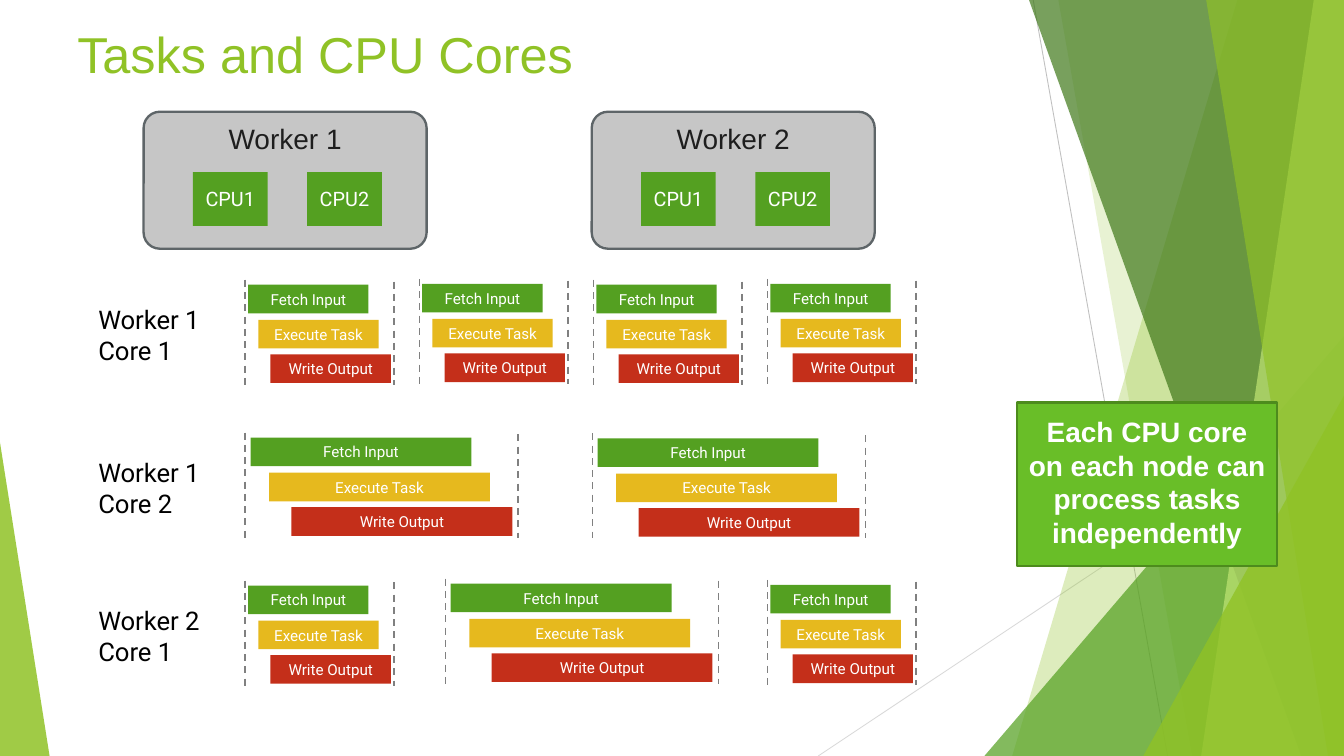
from typing import NamedTuple

from lxml import etree
from pptx import Presentation
from pptx import util as u
from pptx.dml import color
from pptx.enum import dml, shapes, text
from pptx.oxml import ns

W, H = 1152, 648
C = {
    "white": "FFFFFF", "black": "000000", "ink": "1E1E1E", "lime": "90C226",
    "green": "54A021", "forest": "3F7819", "pale": "C0E474", "amber": "E6B91E",
    "red": "C42F1A", "panel": "C6C6C6", "slate": "5E6568", "dash": "808080",
    "ray": "BFBFBF", "faint": "D9D9D9", "callout": "69BE28", "edge": "4D8B1D",
}
RECT = shapes.MSO_SHAPE.RECTANGLE
ROUND = shapes.MSO_SHAPE.ROUNDED_RECTANGLE
TRIANGLE = shapes.MSO_SHAPE.ISOSCELES_TRIANGLE
TOP, MIDDLE = text.MSO_ANCHOR.TOP, text.MSO_ANCHOR.MIDDLE
LEFT, CENTER = text.PP_ALIGN.LEFT, text.PP_ALIGN.CENTER


class Band(NamedTuple):
    top_x: float
    bottom_x: float
    fill: str
    alpha: int


class Corner(NamedTuple):
    x: float
    y: float
    w: float
    apex: float
    fill: str
    alpha: int


class Style(NamedTuple):
    size: float
    font: str
    color: str
    bold: bool = False
    align: text.PP_ALIGN = CENTER
    anchor: text.MSO_ANCHOR = MIDDLE
    inset: float = 8.64
    top_inset: float = 8.64


class Worker(NamedTuple):
    name: str
    x: float


class Stage(NamedTuple):
    name: str
    fill: str
    shift: float
    drop: float


class Task(NamedTuple):
    x: float
    y: float
    span: float


class Core(NamedTuple):
    lines: tuple[str, str]
    y: float


TITLE = Style(43.2, "Arial", "lime", align=LEFT, top_inset=4.32)
WORKER = Style(24, "Arial", "ink", anchor=TOP, top_inset=4.32)
CPU = Style(17, "Roboto", "white")
STAGE = Style(13, "Roboto", "white", inset=7.2, top_inset=7.2)
CORE = Style(22, "Roboto", "black", align=LEFT, anchor=TOP)
CALLOUT = Style(24, "Arial", "white", bold=True, top_inset=4.32)

FACETS = [
    Band(1060.6, 867.6, "lime", 30),
    Band(907.2, 1021.7, "lime", 20),
    Corner(843.8, 288, 308.2, 1, "green", 72),
    Band(882, 1115.3, "forest", 70),
    Band(1126.1, 1029.6, "pale", 70),
    Band(1033.9, 1138.3, "lime", 65),
    Corner(979.9, 339.1, 172.1, 1, "lime", 80),
    Corner(0, 379.4, 42.5, 0, "lime", 85),
]
WORKERS = [Worker("Worker 1", 123.1), Worker("Worker 2", 507.2)]
CORES = [
    Core(("Worker 1", "Core 1"), 252),
    Core(("Worker 1", "Core 2"), 383),
    Core(("Worker 2", "Core 1"), 509.8),
]
STAGES = [
    Stage("Fetch Input", "green", 0.019, 4.3),
    Stage("Execute Task", "amber", 0.087, 34.4),
    Stage("Write Output", "red", 0.169, 64),
]
SHORT, LONG = 127.5, 234
TASKS = [
    *(Task(210.3 + 149.2 * i, 239.8 - 0.8 * (i % 2), SHORT) for i in range(4)),
    Task(210.3, 370.8, LONG),
    Task(507.8, 371.5, LONG),
    Task(210.3, 497.6, SHORT),
    Task(381.9, 496, LONG),
    Task(657.9, 497, SHORT),
]


def rgb(name: str) -> color.RGBColor:
    return color.RGBColor.from_string(C[name])


def paint(sp, fill: str, line: str = "", alpha: int = 100) -> None:
    sp.shadow.inherit = False
    sp.fill.solid()
    sp.fill.fore_color.rgb = rgb(fill)
    if alpha < 100:
        clr = sp._element.spPr.find(".//" + ns.qn("a:srgbClr"))
        etree.SubElement(clr, ns.qn("a:alpha"), val=str(alpha * 1000))
    if line:
        sp.line.color.rgb = rgb(line)
        sp.line.width = u.Pt(2)
    else:
        sp.line.fill.background()


def write(sp, lines: tuple[str, ...], st: Style, wrap: bool = True) -> None:
    tf = sp.text_frame
    tf.word_wrap = wrap
    tf.vertical_anchor = st.anchor
    tf.margin_left = tf.margin_right = tf.margin_bottom = u.Pt(st.inset)
    tf.margin_top = u.Pt(st.top_inset)
    for i, line in enumerate(lines):
        p = tf.add_paragraph() if i else tf.paragraphs[0]
        p.alignment = st.align
        r = p.add_run()
        r.text = line
        r.font.size = u.Pt(st.size)
        r.font.name = st.font
        r.font.bold = st.bold
        r.font.color.rgb = rgb(st.color)


def shape(parent, kind: shapes.MSO_SHAPE, x: float, y: float, w: float, h: float):
    return parent.shapes.add_shape(kind, u.Pt(x), u.Pt(y), u.Pt(w), u.Pt(h))


def textbox(s, x: float, y: float, w: float, h: float):
    return s.shapes.add_textbox(u.Pt(x), u.Pt(y), u.Pt(w), u.Pt(h))


def line(parent, x1: float, y1: float, x2: float, y2: float, name: str, width: float):
    cx = parent.shapes.add_connector(
        shapes.MSO_CONNECTOR.STRAIGHT, u.Pt(x1), u.Pt(y1), u.Pt(x2), u.Pt(y2))
    cx.line.color.rgb = rgb(name)
    cx.line.width = u.Pt(width)
    etree.SubElement(cx._element.spPr, ns.qn("a:effectLst"))
    return cx


def draw_facet(s, facet: Band | Corner) -> None:
    if isinstance(facet, Band):
        fb = s.shapes.build_freeform(u.Pt(facet.top_x), 0)
        fb.add_line_segments(
            [(u.Pt(W), 0), (u.Pt(W), u.Pt(H)), (u.Pt(facet.bottom_x), u.Pt(H))])
        sp = fb.convert_to_shape()
    else:
        sp = shape(s, TRIANGLE, facet.x, facet.y, facet.w, H - facet.y)
        sp.adjustments[0] = facet.apex
    paint(sp, facet.fill, alpha=facet.alpha)


def draw_worker(s, worker: Worker) -> None:
    sp = shape(s, ROUND, worker.x, 95.8, 242.6, 117.4)
    sp.adjustments[0] = 0.119
    paint(sp, "panel", "slate")
    write(sp, (worker.name,), WORKER)
    for i, name in enumerate(("CPU1", "CPU2")):
        sp = shape(s, RECT, worker.x + 42.3 + 97.9 * i, 147.5, 64, 46.2)
        paint(sp, "green")
        write(sp, (name,), CPU)


def draw_task(s, task: Task) -> None:
    grp = s.shapes.add_group_shape()
    bottom = task.y + 90
    for x, top in ((task.x, task.y), (task.x + task.span, task.y + 1.6)):
        cx = line(grp, x, top, x, bottom, "dash", 1.5)
        cx.line.dash_style = dml.MSO_LINE.DASH
    for stage in STAGES:
        sp = shape(grp, RECT, task.x + stage.shift * task.span,
                   task.y + stage.drop, 0.809 * task.span, 24.5)
        paint(sp, stage.fill)
        write(sp, (stage.name,), STAGE)


def main() -> None:
    prs = Presentation()
    prs.slide_width, prs.slide_height = u.Pt(W), u.Pt(H)
    s = prs.slides.add_slide(prs.slide_layouts[6])
    line(s, 885.6, 0, 1000.8, H, "ray", 0.75)
    line(s, W, 347.8, 701.3, H, "faint", 0.75)
    for facet in FACETS:
        draw_facet(s, facet)
    write(textbox(s, 57.6, 0, 1036.8, 95.8), ("Tasks and CPU Cores",), TITLE)
    for worker in WORKERS:
        draw_worker(s, worker)
    for core in CORES:
        write(textbox(s, 75.6, core.y, 113, 64), core.lines, CORE, wrap=False)
    for task in TASKS:
        draw_task(s, task)
    sp = shape(s, RECT, 871.9, 344.9, 222.5, 140.4)
    paint(sp, "callout", "edge")
    write(sp, ("Each CPU core on each node can process tasks independently",), CALLOUT)
    prs.save("out.pptx")


if __name__ == "__main__":
    main()
